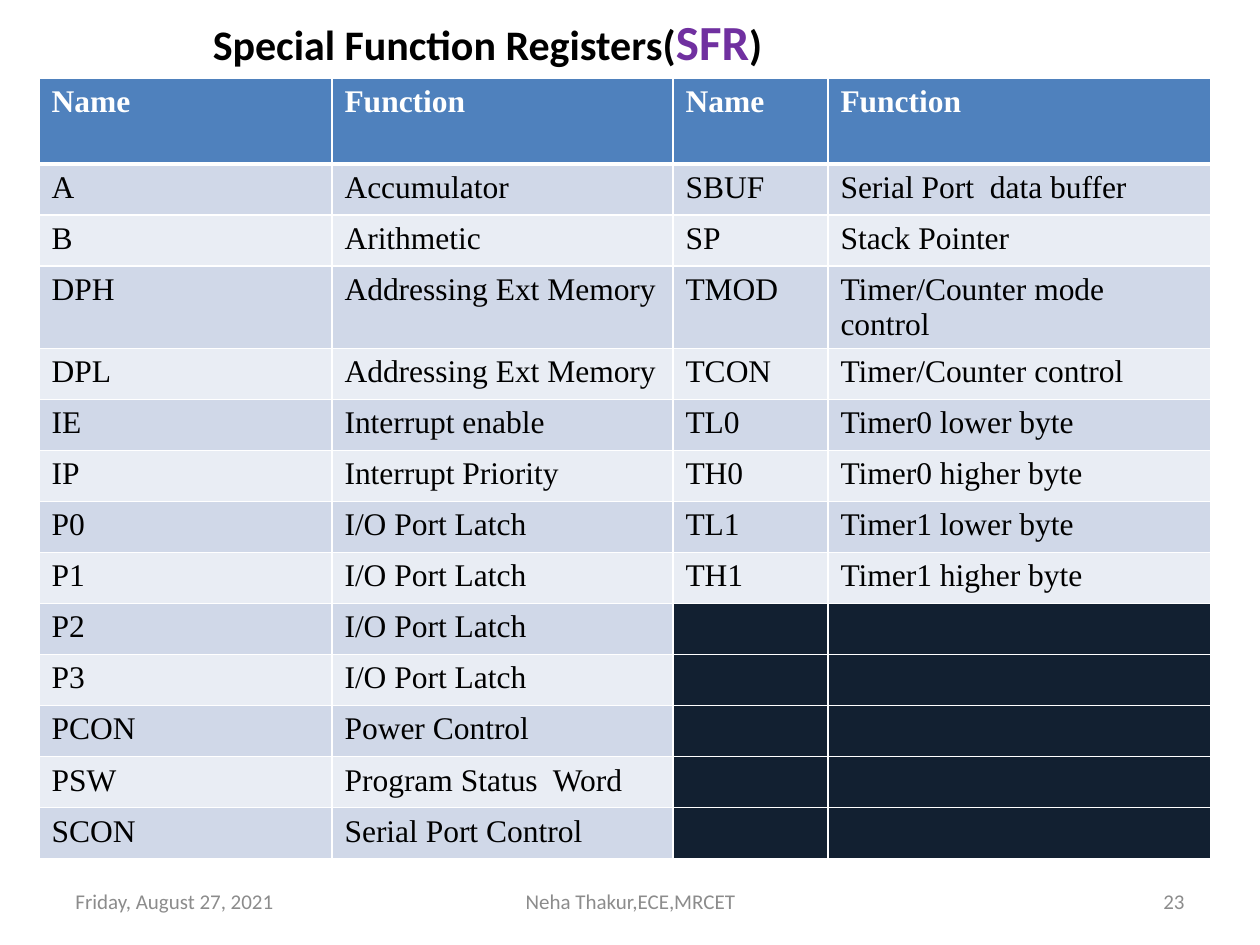
from lxml.etree import SubElement
from pptx import Presentation
from pptx.dml.color import RGBColor
from pptx.enum.text import MSO_ANCHOR as Anchor, MSO_AUTO_SIZE as AutoSize, PP_ALIGN as Align
from pptx.oxml import parse_xml
from pptx.oxml.ns import nsdecls, qn
from pptx.util import Emu, Pt

PX_PER_INCH = 126
WHITE = RGBColor(0xFF, 0xFF, 0xFF)
BLACK = RGBColor(0x00, 0x00, 0x00)
PURPLE = RGBColor(0x70, 0x30, 0xA0)
GREY = RGBColor(0x8C, 0x8C, 0x8C)
HEADER_BLUE = RGBColor(0x4F, 0x81, 0xBD)
BAND_DARK = RGBColor(0xD0, 0xD8, 0xE8)
BAND_LIGHT = RGBColor(0xE9, 0xED, 0xF4)
NAVY = RGBColor(0x12, 0x20, 0x31)

HEADINGS = ("Name", "Function", "Name", "Function")
LEFT_REGISTERS = [
    ("A", "Accumulator"),
    ("B", "Arithmetic"),
    ("DPH", "Addressing Ext Memory"),
    ("DPL", "Addressing Ext Memory"),
    ("IE", "Interrupt enable"),
    ("IP", "Interrupt Priority"),
    *[(f"P{port}", "I/O Port Latch") for port in range(4)],
    ("PCON", "Power Control"),
    ("PSW", "Program Status  Word"),
    ("SCON", "Serial Port Control"),
]
RIGHT_REGISTERS = [
    ("SBUF", "Serial Port  data buffer"),
    ("SP", "Stack Pointer"),
    ("TMOD", "Timer/Counter mode control"),
    ("TCON", "Timer/Counter control"),
    ("TL0", "Timer0 lower byte"),
    ("TH0", "Timer0 higher byte"),
    ("TL1", "Timer1 lower byte"),
    ("TH1", "Timer1 higher byte"),
]


def px(length):
    return Emu(round(length * 914400 / PX_PER_INCH))


def write(paragraph, text, font="Calibri", size=18, color=BLACK, bold=False, align=Align.LEFT):
    paragraph.alignment = align
    run = paragraph.add_run()
    run.text = text
    run.font.name = font
    run.font.size = Pt(size)
    run.font.bold = bold
    run.font.color.rgb = color


class RegisterSlide:
    table_font = "Times New Roman"

    def __init__(self, deck):
        self.slide = deck.slides.add_slide(deck.slide_layouts[5])

    def title(self, pieces, left, top, width, height):
        heading = self.slide.shapes.title
        heading.left, heading.top = px(left), px(top)
        heading.width, heading.height = px(width), px(height)
        frame = heading.text_frame
        frame.auto_size = AutoSize.NONE
        frame.vertical_anchor = Anchor.MIDDLE
        for text, size, color in pieces:
            write(frame.paragraphs[0], text, size=size, color=color, bold=True, align=Align.CENTER)

    def footer(self, text, left, width, align):
        frame = self.slide.shapes.add_textbox(px(left), px(876), px(width), px(50)).text_frame
        frame.word_wrap = True
        frame.vertical_anchor = Anchor.MIDDLE
        write(frame.paragraphs[0], text, size=12, color=GREY, align=align)

    def table(self, rows, left, top, widths, heights):
        grid = self.slide.shapes.add_table(
            len(rows), len(widths), px(left), px(top), px(sum(widths)), px(sum(heights))).table
        grid.horz_banding = False
        for column, width in zip(grid.columns, widths):
            column.width = px(width)
        for index, (row, height) in enumerate(zip(rows, heights)):
            grid.rows[index].height = px(height)
            for cell, text in zip(grid.rows[index].cells, row):
                self.cell(cell, text, index)

    def cell(self, cell, text, row):
        header = row == 0
        cell.fill.solid()
        if header:
            fill = HEADER_BLUE
        elif not text:
            fill = NAVY
        else:
            fill = BAND_DARK if row % 2 else BAND_LIGHT
        cell.fill.fore_color.rgb = fill
        # The rule under the header is heavier than the grid
        self.borders(cell, top=3 if row == 1 else 1, bottom=3 if header else 1)
        if text:
            write(cell.text_frame.paragraphs[0], text, font=self.table_font,
                  color=WHITE if header else BLACK, bold=header)

    def borders(self, cell, top, bottom):
        properties = cell._tc.get_or_add_tcPr()
        edges = {"lnL": 1, "lnR": 1, "lnT": top, "lnB": bottom}
        for position, (edge, points) in enumerate(edges.items()):
            line = parse_xml(f'<a:{edge} {nsdecls("a")} w="{Pt(points)}"/>')
            solid = SubElement(line, qn("a:solidFill"))
            SubElement(solid, qn("a:srgbClr"), val=str(WHITE))
            properties.insert(position, line)


def main():
    deck = Presentation()
    deck.slide_width, deck.slide_height = px(1260), px(945)
    page = RegisterSlide(deck)

    # Title
    page.title([("Special Function Registers(", 24, BLACK), ("SFR", 28, PURPLE), (")", 24, BLACK)],
               108, 0, 759, 81)

    # Register table: the right-hand list is shorter, so its last cells stay empty
    blanks = [("", "")] * (len(LEFT_REGISTERS) - len(RIGHT_REGISTERS))
    registers = [a + b for a, b in zip(LEFT_REGISTERS, RIGHT_REGISTERS + blanks)]
    heights = [86] + [51] * len(registers)
    heights[3] = 82  # TMOD wraps to two lines
    page.table([HEADINGS] + registers, 39, 78, [293, 341, 155, 383], heights)

    # Footer
    page.footer("Friday, August 27, 2021", 63, 294, Align.LEFT)
    page.footer("Neha Thakur,ECE,MRCET", 431, 399, Align.CENTER)
    page.footer("23", 903, 294, Align.RIGHT)

    deck.save("out.pptx")


if __name__ == "__main__":
    main()
